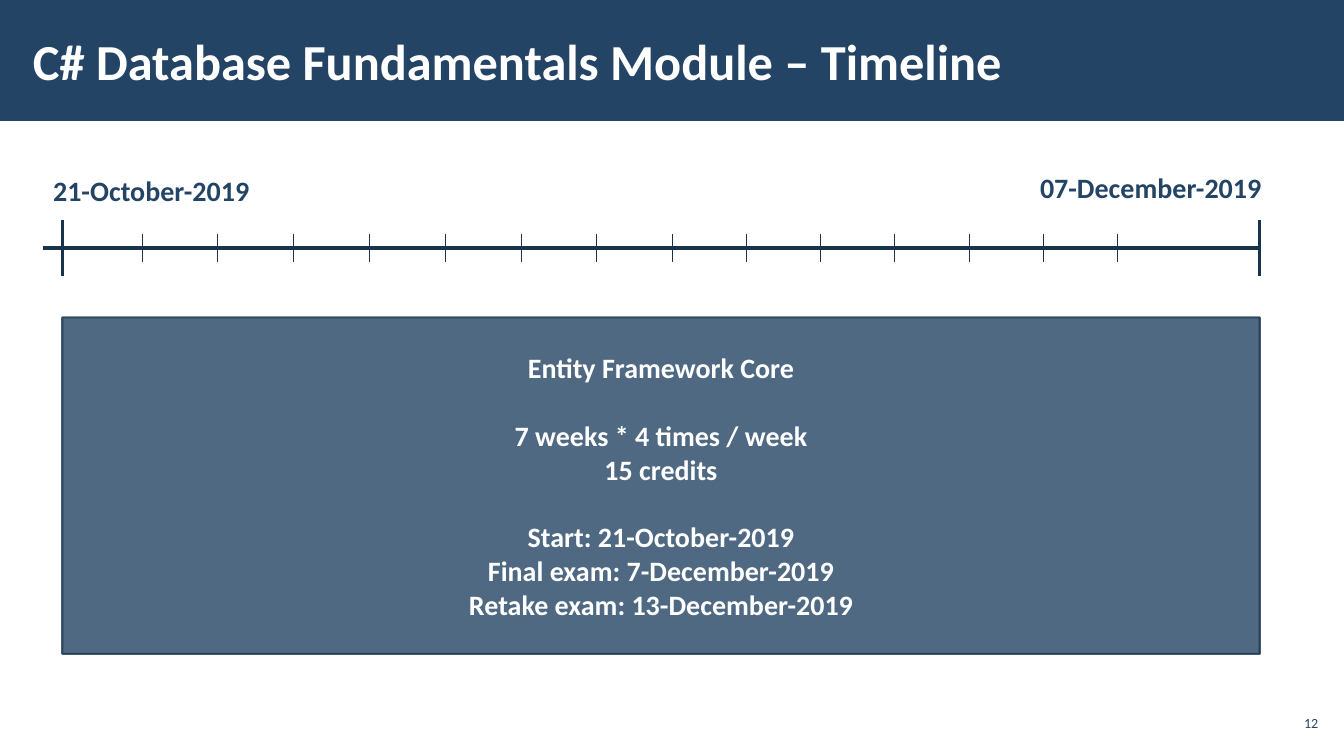
import pptx
import pptx.dml.color
import pptx.enum.shapes
import pptx.enum.text
import pptx.oxml
import pptx.oxml.ns
import pptx.util
from lxml import etree

Cm, Pt = pptx.util.Cm, pptx.util.Pt
ALIGN = pptx.enum.text.PP_ALIGN
ANCHOR = pptx.enum.text.MSO_ANCHOR

NAVY, DARK, WHITE = "234465", "1A334C", "FFFFFF"
FONT = "Calibri"
OPACITY = 80

# Groups of lines, set apart by one line of space
MODULE_LINES = [
    ["Entity Framework Core"],
    ["7 weeks * 4 times / week", "15 credits"],
    ["Start: 21-October-2019", "Final exam: 7-December-2019",
     "Retake exam: 13-December-2019"],
]
GROUP_GAP = 24.4

BOLD_20 = {"size": Pt(20), "bold": True}
# Text, place in cm (left, top, width, height), font, colour, frame, alignment
LABELS = [
    ("C# Database Fundamentals Module – Timeline", (0.53, 0.28, 26.39, 2.46),
     {"size": Pt(36), "bold": True}, WHITE,
     {"margin_left": Cm(0.3), "margin_right": Cm(0.3), "word_wrap": True,
      "vertical_anchor": ANCHOR.MIDDLE}, ALIGN.LEFT),
    ("07-December-2019", (25.96, 4.17, 6.15, 1.12), BOLD_20, NAVY,
     {"word_wrap": False}, ALIGN.LEFT),
    ("21-October-2019", (1.09, 4.24, 5.51, 1.12), BOLD_20, NAVY,
     {"word_wrap": False}, ALIGN.LEFT),
    ("12", (32.13, 17.78, 1.19, 0.86), {"size": Pt(10)}, NAVY,
     {"margin_left": Cm(0.1), "margin_right": Cm(0.1), "word_wrap": True,
      "vertical_anchor": ANCHOR.MIDDLE}, ALIGN.RIGHT),
]

BAND = (0, 0, 33.87, 3.05)
MODULE_BOX = (1.57, 8, 30.18, 8.48)
AXIS_LEFT, AXIS_Y = 1.09, 6.25
START, END = MODULE_BOX[0], MODULE_BOX[0] + MODULE_BOX[2]
# First tick, step, count
TICK_RUNS = [(3.58, 1.91, 8), (18.81, 1.87, 6)]
END_HALF, TICK_HALF = 0.71, 0.36


def set_all(target, values):
    for name, value in values.items():
        setattr(target, name, value)


def colour(text):
    return pptx.dml.color.RGBColor.from_string(text)


def make_translucent(fill_parent):
    for clr in fill_parent.iter(pptx.oxml.ns.qn("a:srgbClr")):
        etree.SubElement(clr, pptx.oxml.ns.qn("a:alpha"), val=str(OPACITY * 1000))


def add_span(para, text, font, hue, align):
    para.alignment = align
    span = para.add_run()
    span.text = text
    set_all(span.font, {"name": FONT, **font})
    span.font.color.rgb = colour(hue)


def add_box(page, place):
    box = page.shapes.add_shape(
        pptx.enum.shapes.MSO_SHAPE.RECTANGLE, *map(Cm, place))
    box.shadow.inherit = False
    box.fill.solid()
    box.fill.fore_color.rgb = colour(NAVY)
    box.line.fill.background()
    return box


def add_label(page, text, place, font, hue, frame, align):
    box = page.shapes.add_textbox(*map(Cm, place))
    set_all(box.text_frame, frame)
    add_span(box.text_frame.paragraphs[0], text, font, hue, align)


def add_line(page, x1, y1, x2, y2, width):
    line = page.shapes.add_connector(
        pptx.enum.shapes.MSO_CONNECTOR.STRAIGHT, *map(Cm, (x1, y1, x2, y2)))
    line.line.color.rgb = colour(DARK)
    line.line.width = Pt(width)
    etree.SubElement(line._element.spPr, pptx.oxml.ns.qn("a:effectLst"))


def add_tick(page, x, half, width):
    add_line(page, x, AXIS_Y - half, x, AXIS_Y + half, width)


def add_module(page):
    box = add_box(page, MODULE_BOX)
    box.line.color.rgb = colour(DARK)
    box.line.width = Pt(1.5)
    make_translucent(box._element.spPr)
    frame = box.text_frame
    set_all(frame, {"word_wrap": True, "vertical_anchor": ANCHOR.MIDDLE})
    para = frame.paragraphs[0]
    for group_number, group in enumerate(MODULE_LINES):
        for line_number, text in enumerate(group):
            if group_number or line_number:
                para = frame.add_paragraph()
            if group_number and not line_number:
                para.space_before = Pt(GROUP_GAP)
            add_span(para, text, BOLD_20, WHITE, ALIGN.CENTER)


def main():
    deck = pptx.Presentation()
    set_all(deck, {"slide_width": Cm(33.87), "slide_height": Cm(19.05)})
    page = deck.slides.add_slide(deck.slide_layouts[6])

    add_box(page, BAND)
    add_module(page)
    add_line(page, AXIS_LEFT, AXIS_Y, END, AXIS_Y, 2.25)
    for x in (START, END):
        add_tick(page, x, END_HALF, 2.25)
    for first, step, count in TICK_RUNS:
        for number in range(count):
            add_tick(page, first + number * step, TICK_HALF, 0.5)
    for label in LABELS:
        add_label(page, *label)

    deck.save("out.pptx")


if __name__ == "__main__":
    main()
